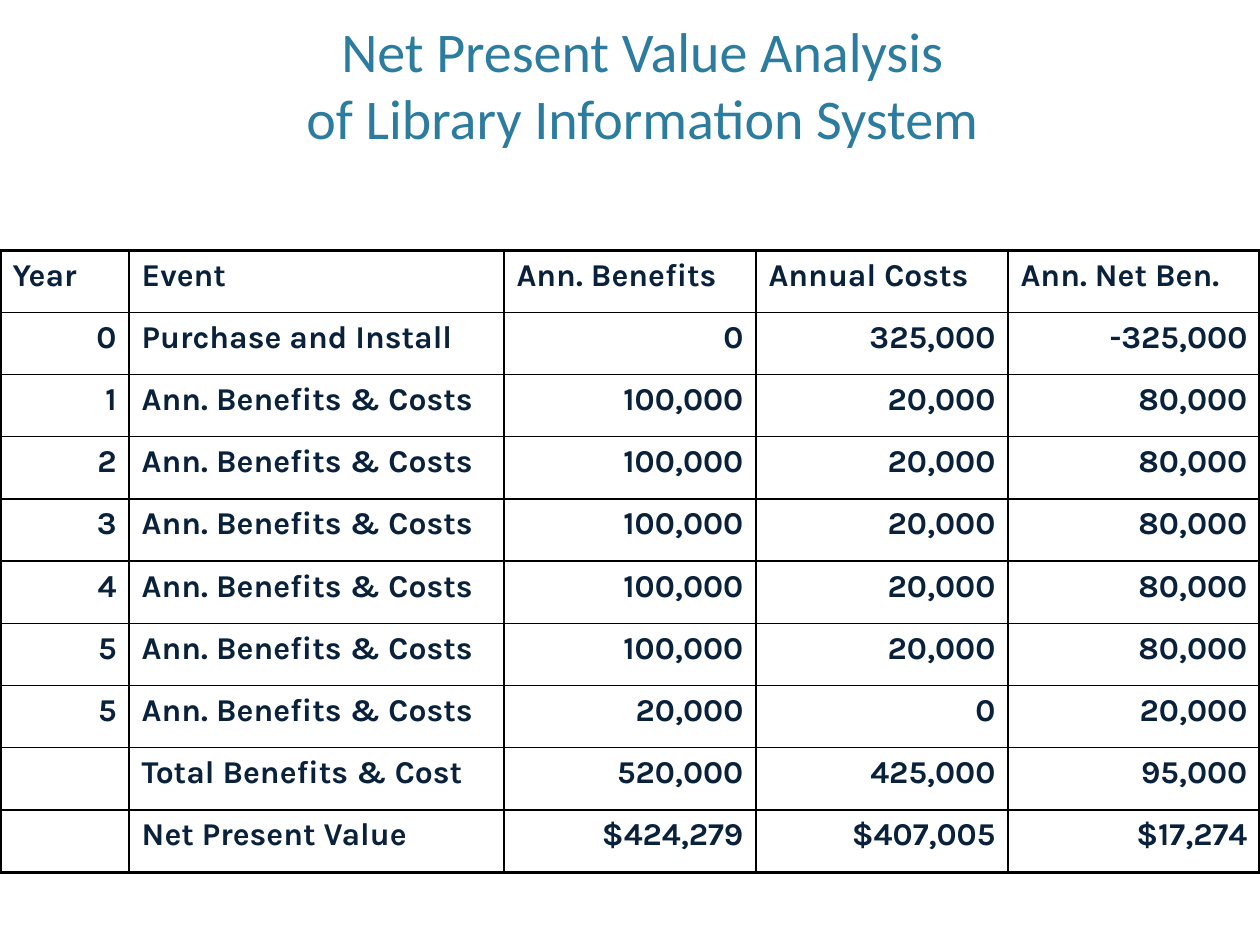
import lxml.etree
import pptx
import pptx.dml.color
import pptx.enum.text
import pptx.oxml.ns
import pptx.util

Cm = pptx.util.Cm
Pt = pptx.util.Pt
RGBColor = pptx.dml.color.RGBColor
PP_ALIGN = pptx.enum.text.PP_ALIGN

TEAL = RGBColor(0x2C, 0x7C, 0x9F)
NAVY = RGBColor(0x09, 0x21, 0x3B)
WHITE = RGBColor(0xFF, 0xFF, 0xFF)
BLACK = RGBColor(0x00, 0x00, 0x00)

INSET_X, INSET_Y = Cm(0.28), Cm(0.15)
OUTER_RULE, INNER_RULE = Pt(2.25), Pt(1)
EVENT_COLUMN = 1
COLUMN_WIDTHS = [2.87, 8.33, 5.6, 5.6, 5.6]

HEADINGS = ["Year", "Event", "Ann. Benefits", "Annual Costs", "Ann. Net Ben."]
YEARLY = "Ann. Benefits & Costs"
CASH_FLOWS = [
    ["0", "Purchase and Install", "0", "325,000", "-325,000"],
    *[[str(year), YEARLY, "100,000", "20,000", "80,000"] for year in range(1, 6)],
    ["5", YEARLY, "20,000", "0", "20,000"],
    ["", "Total Benefits & Cost", "520,000", "425,000", "95,000"],
    ["", "Net Present Value", "$424,279", "$407,005", "$17,274"],
]


def set_inset(holder):
    """Apply the common text inset to a cell or a text frame."""
    holder.margin_left = holder.margin_right = INSET_X
    holder.margin_top = holder.margin_bottom = INSET_Y


def set_font(paragraph, face, size, color, bold):
    """Format every run of a paragraph."""
    for run in paragraph.runs:
        run.font.name = face
        run.font.size = Pt(size)
        run.font.color.rgb = color
        run.font.bold = bold


def add_title(slide, left, top, width, height):
    """Place the two-line heading in the title placeholder."""
    heading = slide.shapes.title
    heading.left, heading.top, heading.width, heading.height = left, top, width, height
    frame = heading.text_frame
    frame.text = "Net Present Value Analysis\vof Library Information System"
    frame.word_wrap = True
    frame.auto_size = pptx.enum.text.MSO_AUTO_SIZE.NONE
    frame.vertical_anchor = pptx.enum.text.MSO_ANCHOR.BOTTOM
    set_inset(frame)
    frame.paragraphs[0].alignment = PP_ALIGN.CENTER
    set_font(frame.paragraphs[0], "Calibri", 35.3, TEAL, False)


def add_borders(cell, rules):
    """Draw the cell borders from a mapping of side to line width."""
    properties = cell._tc.get_or_add_tcPr()
    qn = pptx.oxml.ns.qn
    for side, width in rules.items():
        border = lxml.etree.SubElement(properties, qn(f"a:ln{side}"), w=str(int(width)))
        fill = lxml.etree.SubElement(border, qn("a:solidFill"))
        lxml.etree.SubElement(fill, qn("a:srgbClr"), val=str(BLACK))


def add_cash_flow_table(slide, left, top, width, height):
    """Build the ruled table of yearly benefits and costs."""
    entries = [HEADINGS] + CASH_FLOWS
    last_row, last_column = len(entries) - 1, len(HEADINGS) - 1
    table = slide.shapes.add_table(
        len(entries), len(HEADINGS), left, top, width, height
    ).table
    table.first_row = table.horz_banding = False
    for column, share in zip(table.columns, COLUMN_WIDTHS):
        column.width = int(width * share / sum(COLUMN_WIDTHS))

    for row, entry in enumerate(entries):
        for column, wording in enumerate(entry):
            cell = table.cell(row, column)
            cell.text_frame.text = wording
            set_inset(cell)
            outer_sides = {
                "L": column == 0,
                "R": column == last_column,
                "T": row == 0,
                "B": row == last_row,
            }
            add_borders(cell, {
                side: OUTER_RULE if outer else INNER_RULE
                for side, outer in outer_sides.items()
            })
            cell.fill.solid()
            cell.fill.fore_color.rgb = WHITE
            paragraph = cell.text_frame.paragraphs[0]
            is_label = row == 0 or column == EVENT_COLUMN
            paragraph.alignment = PP_ALIGN.LEFT if is_label else PP_ALIGN.RIGHT
            set_font(paragraph, "Karla", 20, NAVY, True)


def main():
    """Create the presentation and save it."""
    deck = pptx.Presentation()
    deck.slide_width, deck.slide_height = Cm(28), Cm(21)
    slide = deck.slides.add_slide(deck.slide_layouts[5])
    slide.background.fill.solid()
    slide.background.fill.fore_color.rgb = WHITE
    add_title(slide, Cm(1.17), Cm(0), Cm(26.21), Cm(3.5))
    add_cash_flow_table(slide, Cm(0), Cm(5.56), deck.slide_width, Cm(13.82))
    deck.save("out.pptx")


if __name__ == "__main__":
    main()
